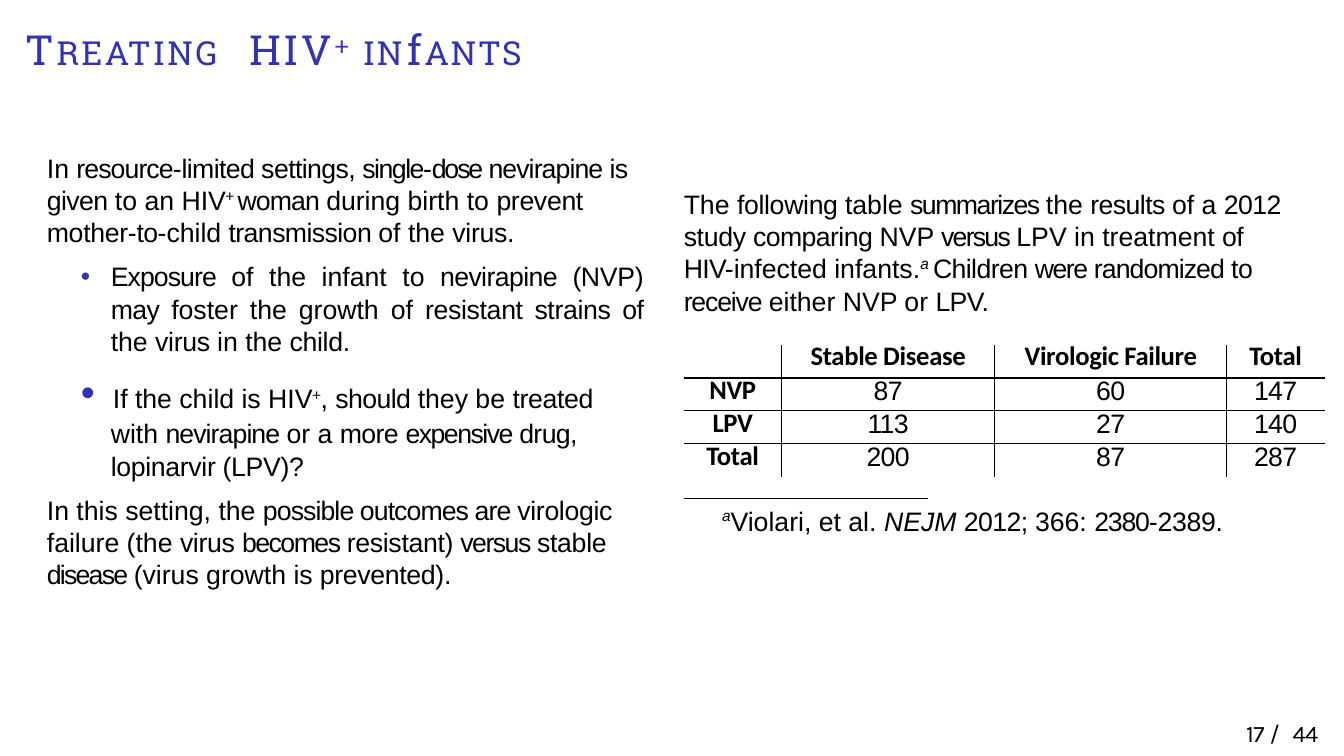
from lxml import etree
from pptx import Presentation
from pptx import util as u
from pptx.dml.color import RGBColor
from pptx.enum import shapes, text
from pptx.oxml.ns import qn

tint = RGBColor.from_string
BLUE, BLACK = "3232B2", "000000"

deck = Presentation()
deck.slide_width, deck.slide_height = u.Inches(6.31), u.Inches(3.55)
# Grid of 100 columns and 100 rows
col, row = deck.slide_width / 100, deck.slide_height / 100
slide = deck.slides.add_slide(deck.slide_layouts[3])


def put(box, x, y, w, h, top=0.02):
    """Move a text shape to its grid place and return its frame."""
    box.left, box.top = int(x * col), int(y * row)
    box.width, box.height = int(w * col), int(h * row)
    frame = box.text_frame
    frame.word_wrap = True
    frame.auto_size = text.MSO_AUTO_SIZE.NONE
    frame.vertical_anchor = text.MSO_ANCHOR.TOP
    frame.margin_left = frame.margin_right = frame.margin_bottom = 0
    frame.margin_top = u.Inches(top)
    return frame


def write(para, parts, size=9, face="Arial", hue=BLACK, left=0.04, bullet=False,
          lead=1.01, above=0, align=text.PP_ALIGN.LEFT, bold=False):
    """Parts are (words, spacing, style); style has ^ raised, i italic, s small caps."""
    props = para._p.get_or_add_pPr()
    props.set("marL", str(u.Inches(left)))
    props.set("indent", str(u.Inches(-0.14 if bullet else 0)))
    if bullet:
        paint = etree.SubElement(props, qn("a:buClr"))
        etree.SubElement(paint, qn("a:srgbClr"), val=BLUE)
        etree.SubElement(props, qn("a:buFont"), typeface="Arial")
        etree.SubElement(props, qn("a:buChar"), char="•")
        stops = etree.SubElement(props, qn("a:tabLst"))
        for stop in (0.34, 0.35):
            etree.SubElement(stops, qn("a:tab"), pos=str(u.Inches(stop)), algn="l")
    else:
        etree.SubElement(props, qn("a:buNone"))
    para.line_spacing, para.space_before, para.alignment = lead, u.Pt(above), align
    for words, gap, *style in parts:
        style = "".join(style)
        run = para.add_run()
        run.text = words
        font = run.font
        font.size, font.bold, font.italic = u.Pt(size), bold, "i" in style
        font.name = "Karla" if style == "^" else face
        font.color.rgb = tint(hue)
        mark = run._r.get_or_add_rPr()
        mark.set("spc", str(round(gap * 100)))
        if "^" in style:
            mark.set("baseline", "37000")
        if "s" in style:
            mark.set("cap", "small")


# Title
head = put(slide.shapes.title, 1.27, 2.25, 97.46, 7.61).paragraphs[0]
write(head, [("T", 0.8), ("reating ", 0.8, "s"), ("HIV", 0.9), ("+ ", 1.4, "^"),
             ("in", 0.6, "s"), ("f", 0.6), ("ants", 0.6, "s")],
      size=14, face="Roboto Slab", hue=BLUE, lead=1.0)
plus = head.runs[3]
plus.font.size = u.Pt(15)
plus._r.get_or_add_rPr().set("baseline", "28000")

# Left column: setting, two bullets, outcomes
body = put(slide.placeholders[1], 2.85, 19.44, 45.01, 56.9)
write(body.paragraphs[0], [
    ("In ", 0), ("resource-", -0.3), ("limited settings, ", -0.2), ("single-", -0.5),
    ("dose ", -0.7), ("nevirapine ", -0.3), ("is given ", -0.2), ("to an HIV", 0),
    ("+ ", 0, "^"), ("woman ", -0.3), ("during birth to ", 0),
    ("prevent mother-", -0.1), ("to-", -0.2), ("child ", 0), ("transmission ", -0.2),
    ("of the ", 0), ("virus.", -0.1)])
write(body.add_paragraph(), [
    ("Exposure ", -0.3), ("of the infant to ", 0), ("nevirapine ", -0.2),
    ("(NVP) ", -0.1), ("may ", -0.2), ("foster the growth of ", 0),
    ("resistant strains ", -0.1), ("of ", -0.2), ("the ", 0), ("virus ", -0.1),
    ("in the ", 0), ("child.", -0.1)],
    left=0.34, bullet=True, above=4, align=text.PP_ALIGN.JUSTIFY)
ask = body.add_paragraph()
write(ask, [
    ("\t", 0), ("If the child is HIV", 0), ("+", 0, "^"), (", ", 0), ("should ", -0.2),
    ("they be ", 0), ("treated ", -0.1), ("with ", 0), ("nevirapine ", -0.3),
    ("or a ", 0), ("more ", -0.2), ("expensive ", -0.5), ("drug, ", -0.2),
    ("lopinarvir (LPV)?", -0.1)], left=0.34, bullet=True, above=4)
# The leading tab sets the larger, raised bullet
tab = ask.runs[0]
tab.font.size, tab.font.name = u.Pt(13.5), "Times New Roman"
tab.font.color.rgb = tint(BLUE)
tab._r.get_or_add_rPr().set("baseline", "6000")
write(body.add_paragraph(), [
    ("In this setting, the ", 0), ("possible outcomes are ", -0.3),
    ("virologic ", -0.1), ("failure (the ", 0), ("virus ", -0.1), ("becomes ", -0.5),
    ("resistant) ", -0.1), ("versus ", -0.5), ("stable ", -0.1), ("disease ", -0.6),
    ("(virus growth is", 0), (" prevented).", -0.1)], above=4)

# Right column: study
study = put(slide.placeholders[2], 50.08, 24.23, 46.12, 17.75)
write(study.paragraphs[0], [
    ("The ", 0), ("following ", -0.1), ("table ", 0), ("summarizes ", -0.5),
    ("the ", 0), ("results ", -0.2), ("of a ", 0), ("2012 ", -0.2), ("study ", -0.1),
    ("comparing ", -0.2), ("NVP ", 0), ("versus ", -0.6), ("LPV in treatment ", 0),
    ("of HIV-", -0.2), ("infected infants.", 0), ("a ", 0, "^i"),
    ("Children ", -0.2), ("were ", -0.5), ("randomized ", -0.3), ("to ", -0.2),
    ("receive ", -0.4), ("either NVP or ", 0), ("LPV.", -0.2)], left=0.05)

# Table of results, ruled on inner edges only
data = [["", "Stable Disease", "Virologic Failure", "Total"],
        ["NVP", "87", "60", "147"],
        ["LPV", "113", "27", "140"],
        ["Total", "200", "87", "287"]]
widths = [7.29, 15.85, 17.27, 7.29]
table = slide.shapes.add_table(4, 4, int(50.87 * col), int(45.63 * row),
                               int(sum(widths) * col), int(17.46 * row)).table
table.first_row = table.horz_banding = False
for j, width in enumerate(widths):
    table.columns[j].width = int(width * col)
for i, line in enumerate(data):
    table.rows[i].height = int(17.46 * row / 4)
    for j, words in enumerate(line):
        cell = table.cell(i, j)
        cell.margin_left = cell.margin_right = cell.margin_top = cell.margin_bottom = 0
        label = i == 0 or j == 0
        para = cell.text_frame.paragraphs[0]
        write(para, [(words, -0.1 if label else -0.2)] if words else [],
              face="Calibri" if label else "Arial", left=0, bold=label,
              lead=u.Pt(9.4 if i == 0 else 9.7), align=text.PP_ALIGN.CENTER)
        if not words:
            etree.SubElement(para._p, qn("a:endParaRPr"), sz="900")
        props = cell._tc.get_or_add_tcPr()
        for side, inner in (("L", j > 0), ("R", j < 3), ("T", i > 0), ("B", i < 3)):
            edge = etree.SubElement(props, qn("a:ln" + side), w=str(u.Pt(0.5)))
            if inner:
                fill = etree.SubElement(edge, qn("a:solidFill"))
                etree.SubElement(fill, qn("a:srgbClr"), val=BLACK)
            else:
                etree.SubElement(edge, qn("a:noFill"))
        cell.fill.background()

# Footnote with its rule
rule = slide.shapes.add_connector(
    shapes.MSO_CONNECTOR.STRAIGHT, int(50.87 * col), int(65.92 * row),
    int(69.02 * col), int(65.92 * row))
rule.line.color.rgb, rule.line.width = tint(BLACK), u.Pt(0.4)
etree.SubElement(rule._element.spPr, qn("a:effectLst"))
note = put(slide.shapes.add_textbox(0, 0, 0, 0), 53.09, 66.2, 39.3, 5.07)
write(note.paragraphs[0], [
    ("a", 0, "^i"), ("Violari, et al. ", 0), ("NEJM ", 0, "i"), ("2012; ", -0.2),
    ("366: ", 0), ("2380-", -0.4), ("2389.", -0.1)], lead=1.0)

# Page number
page = put(slide.shapes.add_textbox(0, 0, 0, 0), 92.08, 95.49, 6.18, 3.94, top=0)
write(page.paragraphs[0], [("17 ", -0.2), ("/ ", 1.2), ("44", -0.2)],
      size=8, face="Karla", lead=u.Pt(8.6))

deck.save("out.pptx")
